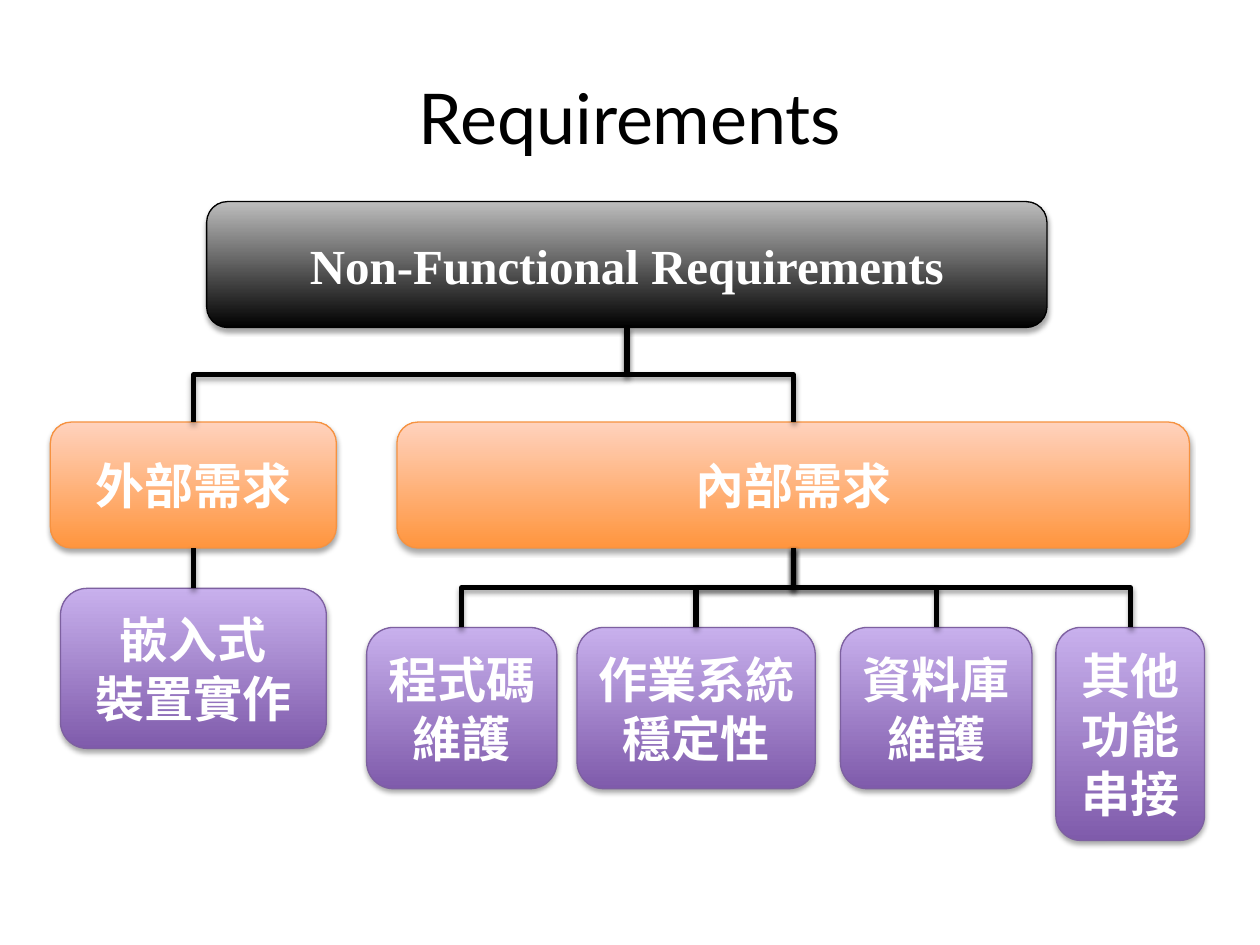
from dataclasses import dataclass

from lxml import etree
from pptx import Presentation
from pptx import util as u
from pptx.dml.color import RGBColor
from pptx.enum import shapes, text
from pptx.oxml.ns import qn


@dataclass(frozen=True)
class Theme:
    ink: str = "000000"
    paper: str = "FFFFFF"
    title_font: str = "Lato"
    latin_font: str = "Times New Roman"
    chinese_font: str = "Noto Sans CJK SC"
    title_size: int = 40
    box_size: int = 28
    border: float = 0.75
    link: float = 3


THEME = Theme()
# Level styles: gradient bottom, gradient top, border
STYLES = {
    "root": ("000000", "BDBDBD", "000000"),
    "group": ("FF953E", "FFD2BD", "F69240"),
    "leaf": ("7F5BAB", "C8B0ED", "7D60A0"),
}

# Content
TITLE = "Requirements"
TOPS = {"root": 1.6, "group": 3.35, "outer leaf": 4.67, "inner leaf": 4.98}
# name: (text, style, row, left, width, height, parent)
BOXES = {
    "root": ("Non-Functional Requirements", "root", "root", 1.64, 6.67, 1, None),
    "external": ("外部需求", "group", "group", 0.4, 2.27, 1, "root"),
    "internal": ("內部需求", "group", "group", 3.15, 6.29, 1, "root"),
    "device": ("嵌入式\n裝置實作", "leaf", "outer leaf", 0.48, 2.11, 1.27, "external"),
    "code": ("程式碼維護", "leaf", "inner leaf", 2.91, 1.51, 1.28, "internal"),
    "system": ("作業系統穩定性", "leaf", "inner leaf", 4.58, 1.89, 1.28, "internal"),
    "database": ("資料庫維護", "leaf", "inner leaf", 6.67, 1.52, 1.28, "internal"),
    "other": ("其他功能串接", "leaf", "inner leaf", 8.38, 1.18, 1.69, "internal"),
}


def color(value):
    return RGBColor.from_string(value)


def add_shadow(shape, distance, opacity):
    properties = shape._element.spPr
    effects = properties.find(qn("a:effectLst"))
    if effects is None:
        effects = etree.SubElement(properties, qn("a:effectLst"))
    shadow = etree.SubElement(
        effects, qn("a:outerShdw"), blurRad=str(u.Pt(3.1)), dist=str(u.Pt(distance)),
        dir=str(90 * 60000), rotWithShape="0")
    shade = etree.SubElement(shadow, qn("a:srgbClr"), val=THEME.ink)
    etree.SubElement(shade, qn("a:alpha"), val=str(opacity * 1000))


def format_text(text_frame, font_name, size, ink, bold):
    text_frame.vertical_anchor = text.MSO_ANCHOR.MIDDLE
    for paragraph in text_frame.paragraphs:
        paragraph.alignment = text.PP_ALIGN.CENTER
        for run in paragraph.runs:
            run.font.name, run.font.size, run.font.bold = font_name, u.Pt(size), bold
            run.font.color.rgb = color(ink)
            etree.SubElement(run._r.get_or_add_rPr(), qn("a:ea"), typeface=font_name)


def add_box(slide, words, style, row, left, width, height):
    box = slide.shapes.add_shape(
        shapes.MSO_SHAPE.ROUNDED_RECTANGLE,
        *(u.Inches(length) for length in (left, TOPS[row], width, height)))
    bottom, top, border = STYLES[style]
    box.fill.gradient()
    box.fill.gradient_angle = 90
    for stop, value in zip(box.fill.gradient_stops, (bottom, top)):
        stop.color.rgb = color(value)
    box.line.color.rgb = color(border)
    box.line.width = u.Pt(THEME.border)
    box.shadow.inherit = False
    add_shadow(box, 1.8, 35)
    box.text_frame.text = words
    box.text_frame.word_wrap = True
    font_name = THEME.latin_font if words.isascii() else THEME.chinese_font
    format_text(box.text_frame, font_name, THEME.box_size, THEME.paper, True)
    return box


def add_link(slide, parent, child):
    start_x, start_y = parent.left + parent.width // 2, parent.top + parent.height
    end_x, end_y = child.left + child.width // 2, child.top
    across, down = end_x - start_x, end_y - start_y
    straight = abs(across) < u.Inches(0.02)
    kind = shapes.MSO_CONNECTOR.STRAIGHT if straight else shapes.MSO_CONNECTOR.ELBOW
    link = slide.shapes.add_connector(kind, start_x, start_y, end_x, end_y)
    link.begin_connect(parent, 2)
    link.end_connect(child, 0)
    if not straight:
        # An elbow leaves sideways, so turn it to leave downwards
        link.width, link.height = down, abs(across)
        link.left = (start_x + end_x - down) // 2
        link.top = (start_y + end_y - abs(across)) // 2
        frame = link._element.spPr.find(qn("a:xfrm"))
        for flip in ("flipH", "flipV"):
            frame.attrib.pop(flip, None)
        frame.set("rot", str((270 if across > 0 else 90) * 60000))
        if across > 0:
            frame.set("flipH", "1")
    link.line.color.rgb = color(THEME.ink)
    link.line.width = u.Pt(THEME.link)
    add_shadow(link, 1.6, 38)


def main():
    presentation = Presentation()
    presentation.slide_width, presentation.slide_height = u.Inches(10), u.Inches(7.5)
    slide = presentation.slides.add_slide(presentation.slide_layouts[5])

    # Title
    title = slide.shapes.title
    title.left, title.top = u.Inches(0.5), u.Inches(0.3)
    title.width, title.height = u.Inches(9), u.Inches(1.25)
    title.text_frame.text = TITLE
    format_text(title.text_frame, THEME.title_font, THEME.title_size, THEME.ink, False)

    # Requirement tree: boxes, then links
    boxes = {name: add_box(slide, *box[:-1]) for name, box in BOXES.items()}
    for name, (*_, parent) in BOXES.items():
        if parent:
            add_link(slide, boxes[parent], boxes[name])

    presentation.save("out.pptx")


if __name__ == "__main__":
    main()
